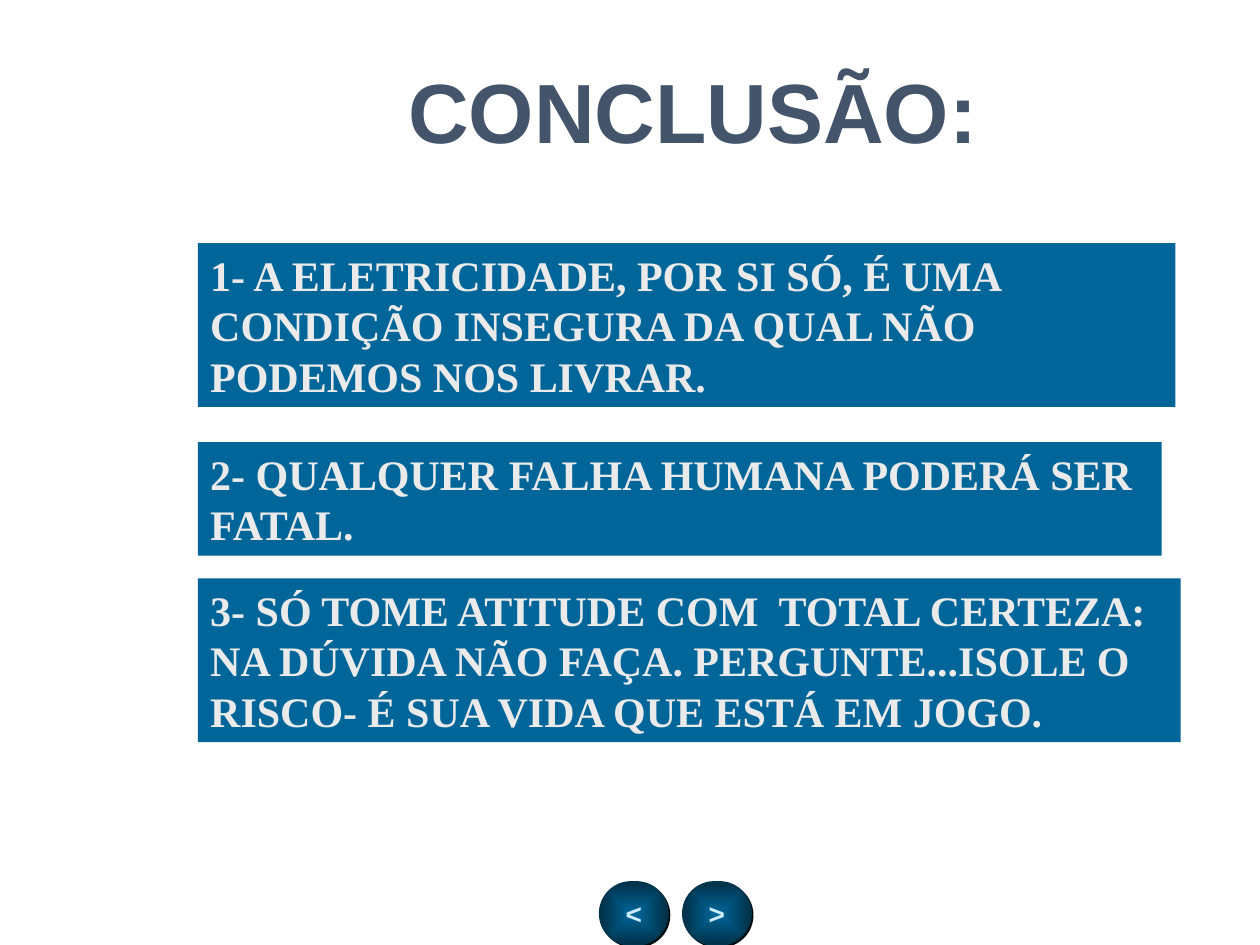
from dataclasses import dataclass

from lxml.etree import SubElement
from pptx import Presentation
from pptx.dml.color import RGBColor
from pptx.enum.shapes import MSO_SHAPE
from pptx.enum.text import MSO_ANCHOR, PP_ALIGN
from pptx.oxml.ns import qn
from pptx.util import Inches, Pt


@dataclass(frozen=True)
class Theme:
    title: str = "44546A"
    panel: str = "006699"
    body: str = "EAEAEA"
    edge: str = "00354E"
    deep: str = "002F46"
    shade: str = "000B10"
    sign: str = "CCECFF"
    sans: str = "Arial"
    serif: str = "Times New Roman"
    big: int = 48
    mid: int = 24
    small: int = 16


class Deck:
    cols, rows = 100, 75

    def __init__(self, theme):
        self.theme = theme
        self.show = Presentation()
        self.show.slide_width = Inches(10)
        self.show.slide_height = Inches(7.5)
        self.slide = self.show.slides.add_slide(self.show.slide_layouts[6])

    def place(self, left, top, width, height):
        col = self.show.slide_width / self.cols
        row = self.show.slide_height / self.rows
        return int(left * col), int(top * row), int(width * col), int(height * row)

    def label(self, shape, text, size, face, color, align, anchor, wrap=True):
        frame = shape.text_frame
        frame.word_wrap = wrap
        frame.vertical_anchor = anchor
        para = frame.paragraphs[0]
        para.text = text
        para.alignment = align
        font = para.font
        font.size = Pt(size)
        font.name = face
        font.bold = True
        font.color.rgb = RGBColor.from_string(color)

    def title(self, text, *area):
        look = self.theme
        box = self.slide.shapes.add_textbox(*self.place(*area))
        self.label(box, text, look.big, look.sans, look.title,
                   PP_ALIGN.CENTER, MSO_ANCHOR.MIDDLE)

    def panel(self, text, *area):
        look = self.theme
        box = self.slide.shapes.add_shape(MSO_SHAPE.RECTANGLE, *self.place(*area))
        box.shadow.inherit = False
        box.fill.solid()
        box.fill.fore_color.rgb = RGBColor.from_string(look.panel)
        box.line.fill.background()
        self.label(box, text, look.mid, look.serif, look.body,
                   PP_ALIGN.LEFT, MSO_ANCHOR.TOP)

    def button(self, text, *area):
        look = self.theme
        key = self.slide.shapes.add_shape(MSO_SHAPE.ROUNDED_RECTANGLE, *self.place(*area))
        key.adjustments[0] = 0.5
        key.line.color.rgb = RGBColor.from_string(look.edge)
        key.line.width = Pt(1)
        self.glow(key)
        self.drop(key)
        self.label(key, text, look.small, look.sans, look.sign,
                   PP_ALIGN.CENTER, MSO_ANCHOR.MIDDLE, False)

    def glow(self, shape):
        shape.fill.gradient()
        tones = (self.theme.panel, self.theme.deep)
        for place, (stop, tone) in enumerate(zip(shape.fill.gradient_stops, tones)):
            stop.position = place
            stop.color.rgb = RGBColor.from_string(tone)
        grad = shape.element.spPr.find(qn("a:gradFill"))
        grad.remove(grad.find(qn("a:lin")))
        focus = SubElement(grad, qn("a:path"), {"path": "rect"})
        SubElement(focus, qn("a:fillToRect"), dict.fromkeys("ltrb", "50000"))

    def drop(self, shape):
        shape.shadow.inherit = False
        effect = shape.element.spPr.find(qn("a:effectLst"))
        shade = SubElement(effect, qn("a:outerShdw"), dist=str(Pt(1.4)),
                           dir="2700000", algn="ctr", rotWithShape="0")
        SubElement(shade, qn("a:srgbClr"), val=self.theme.shade)


def main():
    deck = Deck(Theme())
    deck.title("CONCLUSÃO:", 12.5, 2.5, 85, 12.5)
    for col, sign in ((54.2, ">"), (47.6, "<")):
        deck.button(sign, col, 70, 5.4, 5)
    points = (
        (19.3, 77.6, 13, "1- A ELETRICIDADE, POR SI SÓ, É UMA CONDIÇÃO INSEGURA "
                         "DA QUAL NÃO PODEMOS NOS LIVRAR."),
        (35.1, 76.5, 9, "2- QUALQUER FALHA HUMANA PODERÁ SER FATAL."),
        (45.9, 78, 13, "3- SÓ TOME ATITUDE COM  TOTAL CERTEZA: NA DÚVIDA NÃO FAÇA. "
                       "PERGUNTE...ISOLE O RISCO- É SUA VIDA QUE ESTÁ EM JOGO."),
    )
    for top, width, height, text in points:
        deck.panel(text, 15.7, top, width, height)
    deck.show.save("out.pptx")


if __name__ == "__main__":
    main()
